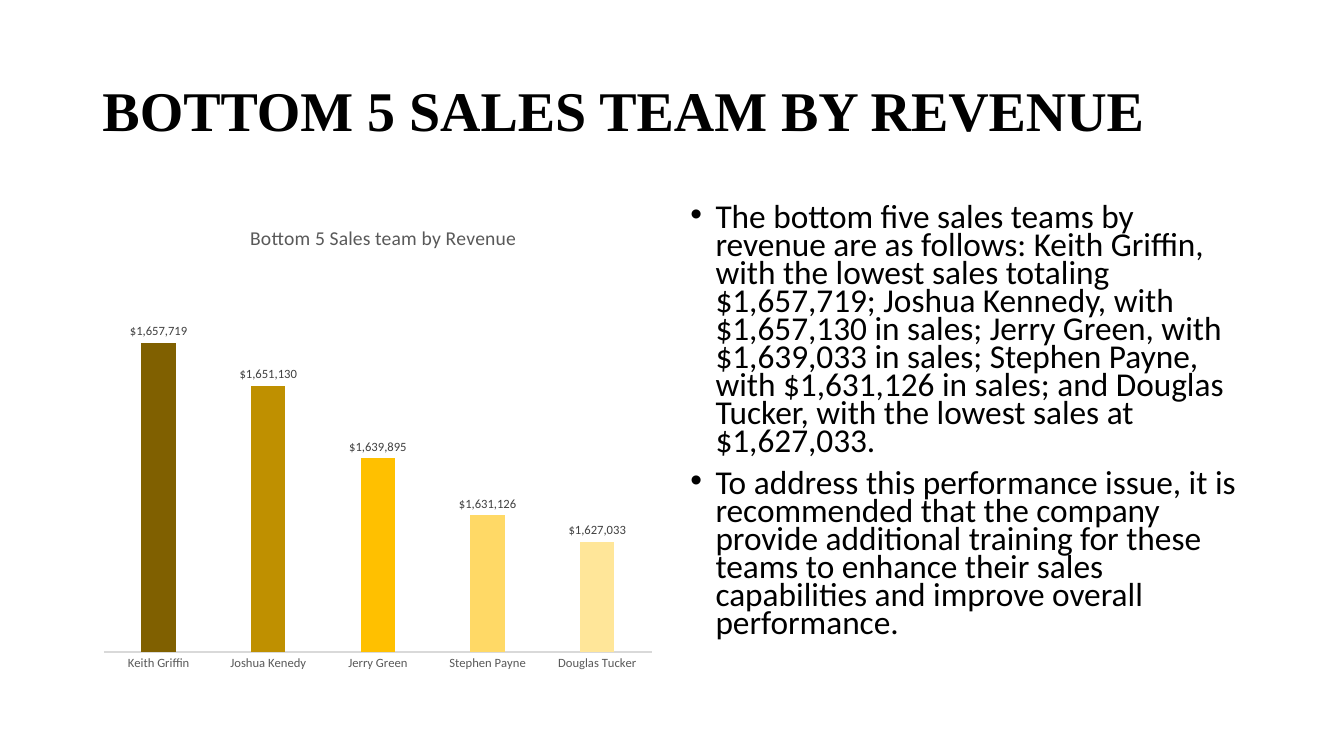
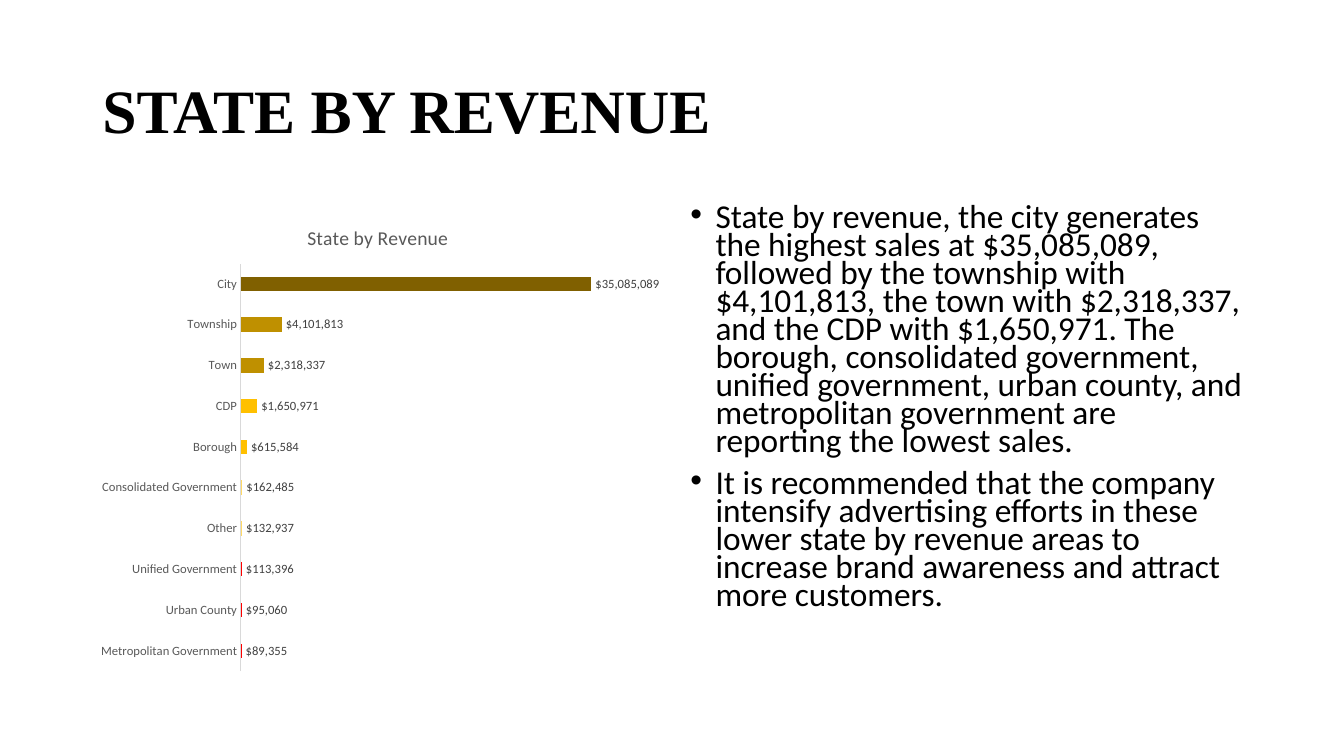
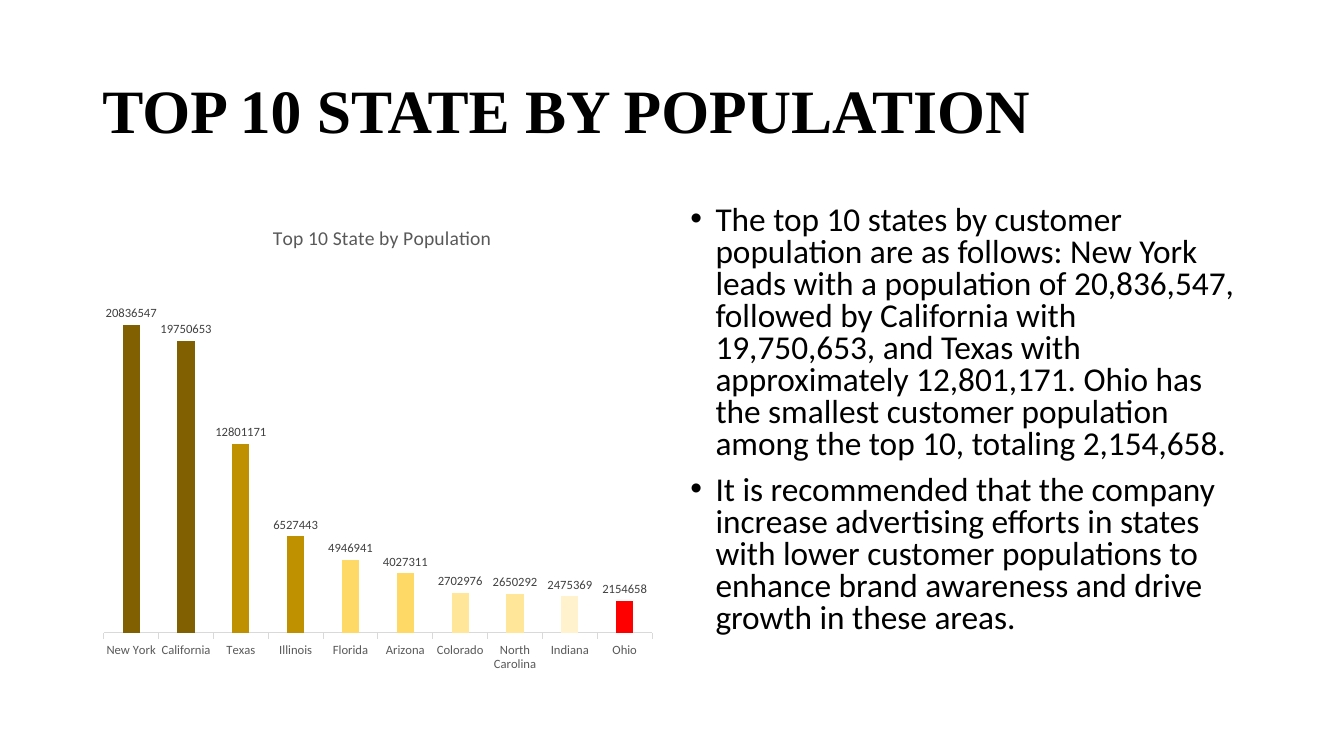
from lxml import etree
from pptx import Presentation
from pptx.chart.data import CategoryChartData
from pptx.dml.color import RGBColor
from pptx.enum import chart as ch, text
from pptx.oxml.ns import qn
from pptx.util import Pt

TITLE_BOX = (66, 28.75, 828, 104.4)
CHART_BOX = (66, 143.75, 408, 342.6)
BODY_BOX = (486, 143.75, 408, 342.6)
BLACK, LABEL, GREY, AXIS = "000000", "404040", "595959", "D9D9D9"
BROWN, OCHRE, GOLD, SAND, CREAM, IVORY, RED = (
    "806000", "BF9000", "FFC000", "FFD966", "FFE699", "FFF2CC", "FF0000")
DOLLARS = '"$"#,##0'
COLUMN, BAR = ch.XL_CHART_TYPE.COLUMN_CLUSTERED, ch.XL_CHART_TYPE.BAR_CLUSTERED

# plot is x, y, width, height and title_at is x, y, as fractions of the chart
SLIDES = [
    dict(title="BOTTOM 5 SALES TEAM BY REVENUE", size=40, spacing=0.7,
         body=["The bottom five sales teams by revenue are as follows: Keith Griffin, with the lowest sales totaling $1,657,719; Joshua Kennedy, with $1,657,130 in sales; Jerry Green, with $1,639,033 in sales; Stephen Payne, with $1,631,126 in sales; and Douglas Tucker, with the lowest sales at $1,627,033.",
               "To address this performance issue, it is recommended that the company provide additional training for these teams to enhance their sales capabilities and improve overall performance."],
         chart=dict(kind=COLUMN, title="Bottom 5 Sales team by Revenue",
                    title_at=(0.27, 0.04), plot=(0.02, 0.13, 0.96, 0.81),
                    scale=(1610000, 1670000), gap=219, overlap=-27,
                    fmt=DOLLARS, tick=ch.XL_TICK_MARK.NONE,
                    points=[("Keith Griffin", 1657719, BROWN),
                            ("Joshua Kenedy", 1651130, OCHRE),
                            ("Jerry Green", 1639895, GOLD),
                            ("Stephen Payne", 1631126, SAND),
                            ("Douglas Tucker", 1627033, CREAM)])),
    dict(title="STATE BY REVENUE", size=44, spacing=0.7,
         body=["State by revenue, the city generates the highest sales at $35,085,089, followed by the township with $4,101,813, the town with $2,318,337, and the CDP with $1,650,971. The borough, consolidated government, unified government, urban county, and metropolitan government are reporting the lowest sales.",
               "It is recommended that the company intensify advertising efforts in these lower state by revenue areas to increase brand awareness and attract more customers."],
         chart=dict(kind=BAR, title="State by Revenue",
                    title_at=(0.37, 0.04), plot=(0.26, 0.13, 0.7, 0.85),
                    scale=(0, 40000000), gap=182, overlap=0,
                    fmt=DOLLARS, tick=ch.XL_TICK_MARK.NONE,
                    points=[("Metropolitan Government", 89355, RED),
                            ("Urban County", 95060, RED),
                            ("Unified Government", 113396, RED),
                            ("Other", 132937, SAND),
                            ("Consolidated Government", 162485, SAND),
                            ("Borough", 615584, GOLD),
                            ("CDP", 1650971, GOLD),
                            ("Town", 2318337, OCHRE),
                            ("Township", 4101813, OCHRE),
                            ("City", 35085089, BROWN)])),
    dict(title="TOP 10 STATE BY POPULATION", size=44, spacing=0.8,
         body=["The top 10 states by customer population are as follows: New York leads with a population of 20,836,547, followed by California with 19,750,653, and Texas with approximately 12,801,171. Ohio has the smallest customer population among the top 10, totaling 2,154,658.",
               "It is recommended that the company increase advertising efforts in states with lower customer populations to enhance brand awareness and drive growth in these areas."],
         chart=dict(kind=COLUMN, title="Top 10 State by Population",
                    title_at=(0.31, 0.04), plot=(0.02, 0.13, 0.96, 0.77),
                    scale=(0, 25000000), gap=219, overlap=-27,
                    fmt="0", tick=ch.XL_TICK_MARK.OUTSIDE,
                    points=[("New York", 20836547, BROWN),
                            ("California", 19750653, BROWN),
                            ("Texas", 12801171, OCHRE),
                            ("Illinois", 6527443, OCHRE),
                            ("Florida", 4946941, SAND),
                            ("Arizona", 4027311, SAND),
                            ("Colorado", 2702976, CREAM),
                            ("North Carolina", 2650292, CREAM),
                            ("Indiana", 2475369, IVORY),
                            ("Ohio", 2154658, RED)])),
]


def rgb(color):
    return RGBColor.from_string(color)


def style(font, size, color, name="Calibri", bold=False):
    font.size, font.name, font.bold = Pt(size), name, bold
    font.color.rgb = rgb(color)


def add_title(slide, title, size):
    sp = slide.shapes.title
    sp.left, sp.top, sp.width, sp.height = map(Pt, TITLE_BOX)
    tf = sp.text_frame
    tf.text = title
    tf.vertical_anchor = text.MSO_ANCHOR.MIDDLE
    p = tf.paragraphs[0]
    p.alignment, p.line_spacing = text.PP_ALIGN.LEFT, 0.9
    style(p.runs[0].font, size, BLACK, "Times New Roman", True)


def add_bullets(slide, items, spacing):
    tf = slide.shapes.add_textbox(*map(Pt, BODY_BOX)).text_frame
    tf.word_wrap = True
    for i, item in enumerate(items):
        p = tf.add_paragraph() if i else tf.paragraphs[0]
        pPr = p._p.get_or_add_pPr()
        pPr.set("marL", str(Pt(18)))
        pPr.set("indent", str(-Pt(18)))
        etree.SubElement(pPr, qn("a:buFont"), typeface="Arial")
        etree.SubElement(pPr, qn("a:buChar"), char="•")
        p.line_spacing = spacing
        if i:
            p.space_before = Pt(10)
        r = p.add_run()
        r.text = item
        style(r.font, 23.8, BLACK)


def set_layout(parent, index, **settings):
    """Fix the place of a chart part, as fractions of the chart."""
    for old in parent.findall(qn("c:layout")):
        parent.remove(old)
    layout = etree.Element(qn("c:layout"))
    manual = etree.SubElement(layout, qn("c:manualLayout"))
    for tag, val in settings.items():
        etree.SubElement(manual, qn("c:" + tag), val=str(val))
    parent.insert(index, layout)


def add_bar_chart(slide, kind, title, title_at, plot, scale, gap, overlap,
                  fmt, tick, points):
    names, values, colors = zip(*points)
    data = CategoryChartData(number_format=fmt)
    data.categories = names
    data.add_series("Series 1", values)
    chart = slide.shapes.add_chart(kind, *map(Pt, CHART_BOX), data).chart
    style(chart.font, 10, BLACK)
    chart.has_legend = False

    tf = chart.chart_title.text_frame
    tf.text = title
    style(tf.paragraphs[0].runs[0].font, 14, GREY)
    x, y = title_at
    set_layout(chart.chart_title._element, 1,
               xMode="edge", yMode="edge", x=x, y=y)
    x, y, w, h = plot
    set_layout(chart._chartSpace.chart.plotArea, 0, layoutTarget="inner",
               xMode="edge", yMode="edge", x=x, y=y, w=w, h=h)

    axis = chart.category_axis
    axis.major_tick_mark = tick
    axis.format.line.color.rgb = rgb(AXIS)
    axis.format.line.width = Pt(0.75)
    style(axis.tick_labels.font, 9, GREY)
    axis = chart.value_axis
    axis.visible = axis.has_major_gridlines = False
    axis.minimum_scale, axis.maximum_scale = scale

    bars = chart.plots[0]
    bars.vary_by_categories = False
    bars.gap_width, bars.overlap = gap, overlap
    bars.has_data_labels = True
    labels = bars.data_labels
    labels.show_value = True
    labels.position = ch.XL_LABEL_POSITION.OUTSIDE_END
    labels.number_format, labels.number_format_is_linked = fmt, False
    style(labels.font, 9, LABEL)
    for i, color in enumerate(colors):
        fill = bars.series[0].points[i].format.fill
        fill.solid()
        fill.fore_color.rgb = rgb(color)


def main():
    prs = Presentation()
    prs.slide_width, prs.slide_height = Pt(960), Pt(540)
    for content in SLIDES:
        slide = prs.slides.add_slide(prs.slide_layouts[5])
        add_title(slide, content["title"], content["size"])
        add_bullets(slide, content["body"], content["spacing"])
        add_bar_chart(slide, **content["chart"])
    prs.save("out.pptx")


if __name__ == "__main__":
    main()
